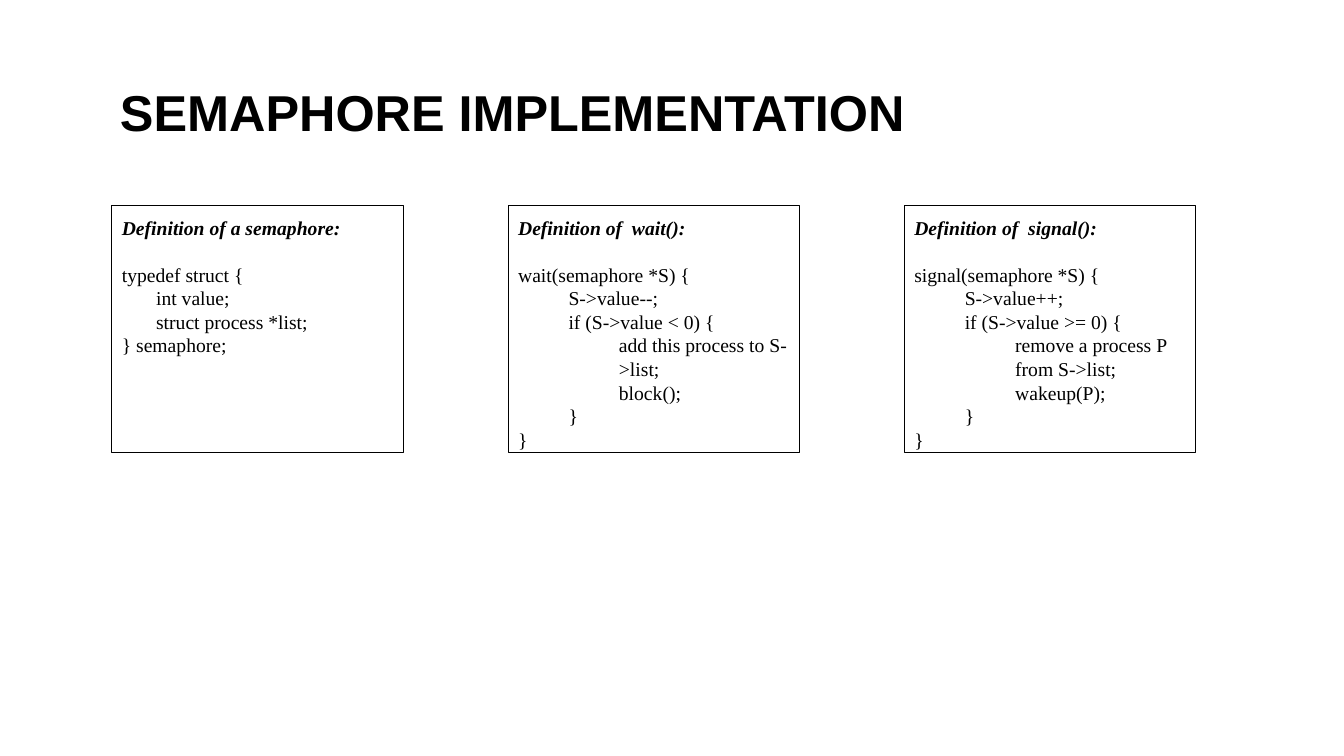
"""Build the semaphore implementation slide."""
from pptx import Presentation
from pptx.dml.color import RGBColor
from pptx.enum.shapes import MSO_SHAPE as Shape
from pptx.enum.text import MSO_ANCHOR as Anchor, PP_ALIGN as Align
from pptx.util import Inches, Pt

BLACK = RGBColor(0x00, 0x00, 0x00)
WHITE = RGBColor(0xFF, 0xFF, 0xFF)

BOX_LEFT, BOX_STEP = 1.11, 3.93

DEFINITIONS = [
    ("Definition of a semaphore:", [
        (0, "typedef struct {"),
        (0.34, "int value;"),
        (0.34, "struct process *list;"),
        (0, "} semaphore;"),
    ]),
    ("Definition of  wait():", [
        (0, "wait(semaphore *S) {"),
        (0.5, "S->value--;"),
        (0.5, "if (S->value < 0) {"),
        (1, "add this process to S->list;"),
        (1, "block();"),
        (0.5, "}"),
        (0, "}"),
    ]),
    ("Definition of  signal():", [
        (0, "signal(semaphore *S) {"),
        (0.5, "S->value++;"),
        (0.5, "if (S->value >= 0) {"),
        (1, "remove a process P from S->list;"),
        (1, "wakeup(P);"),
        (0.5, "}"),
        (0, "}"),
    ]),
]


class SlideBuilder:
    """Hold the text style and the slide being filled."""

    title_font, title_size = "Arial", Pt(36)
    code_font, code_size = "Times New Roman", Pt(14)
    heading_gap = Pt(16.8)

    def __init__(self, slide):
        self.slide = slide

    def frame(self, shape, inset, anchor):
        text_frame = shape.text_frame
        text_frame.word_wrap = True
        text_frame.vertical_anchor = anchor
        text_frame.margin_left = text_frame.margin_right = Inches(inset)
        text_frame.margin_top = text_frame.margin_bottom = Inches(inset)
        return text_frame

    def set_text(self, paragraph, text, name, size, bold=False, italic=False):
        paragraph.text = text
        paragraph.alignment = Align.LEFT
        font = paragraph.font
        font.name, font.size = name, size
        font.bold, font.italic = bold, italic
        font.color.rgb = BLACK

    def title(self, text, left, top, width, height):
        shape = self.slide.shapes.add_textbox(
            Inches(left), Inches(top), Inches(width), Inches(height))
        shape.fill.solid()
        shape.fill.fore_color.rgb = WHITE
        paragraph = self.frame(shape, 0.2, Anchor.MIDDLE).paragraphs[0]
        self.set_text(paragraph, text, self.title_font, self.title_size, bold=True)
        paragraph.line_spacing = 0.9

    def code_box(self, heading, lines, left, top, width, height):
        shape = self.slide.shapes.add_shape(
            Shape.RECTANGLE, Inches(left), Inches(top), Inches(width), Inches(height))
        shape.shadow.inherit = False
        shape.fill.background()
        shape.line.color.rgb = BLACK
        shape.line.width = Pt(0.75)
        text_frame = self.frame(shape, 0.1, Anchor.TOP)
        paragraph = text_frame.paragraphs[0]
        self.set_text(paragraph, heading, self.code_font, self.code_size,
                      bold=True, italic=True)
        paragraph.space_after = self.heading_gap
        for indent, text in lines:
            paragraph = text_frame.add_paragraph()
            self.set_text(paragraph, text, self.code_font, self.code_size)
            if indent:
                properties = paragraph._p.get_or_add_pPr()
                properties.set("marL", str(Inches(indent)))
                properties.set("indent", "0")


def main():
    presentation = Presentation()
    presentation.slide_width = Inches(13.33)
    presentation.slide_height = Inches(7.5)
    builder = SlideBuilder(presentation.slides.add_slide(presentation.slide_layouts[6]))
    builder.title("SEMAPHORE IMPLEMENTATION", 0.99, 0.49, 8.45, 1.3)
    for index, (heading, lines) in enumerate(DEFINITIONS):
        builder.code_box(heading, lines, BOX_LEFT + index * BOX_STEP, 2.04, 2.89, 2.45)
    presentation.save("out.pptx")


if __name__ == "__main__":
    main()
